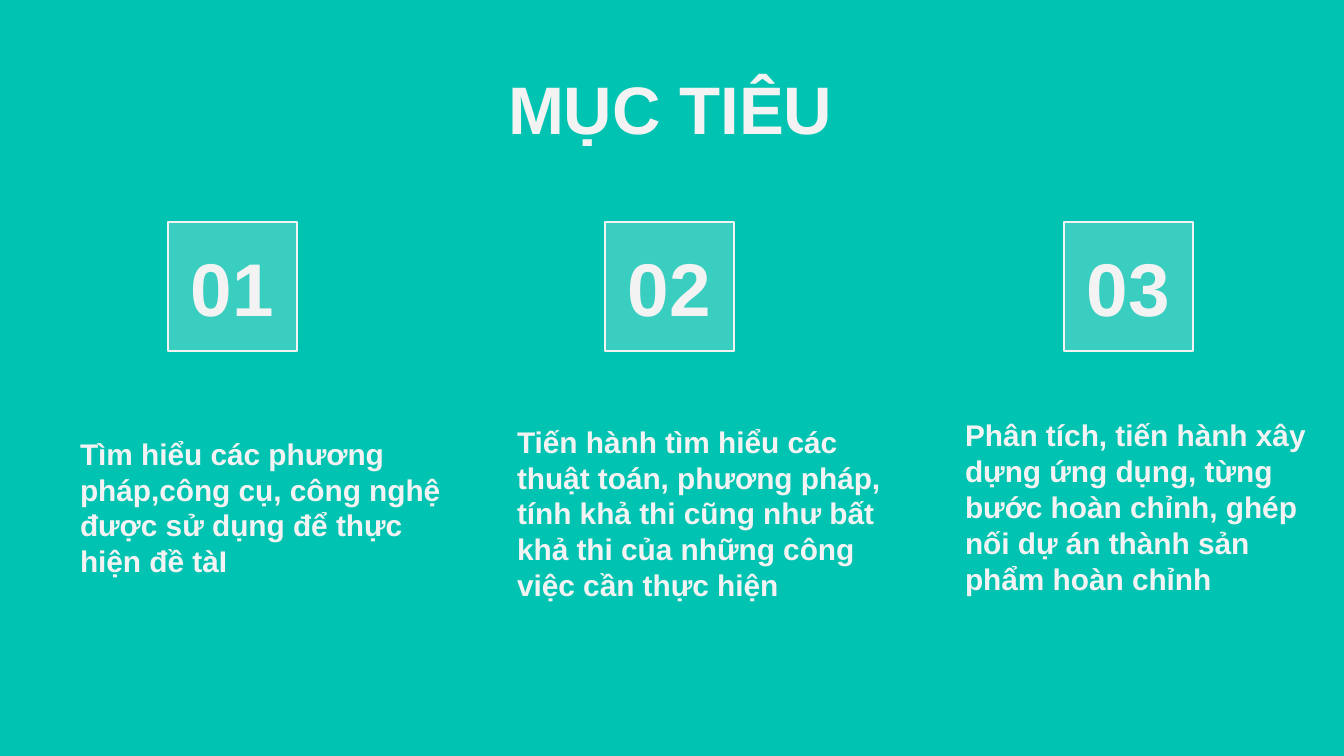
"""Build the slide of three numbered project goals."""
from lxml.etree import SubElement
from pptx import Presentation
from pptx.dml.color import RGBColor as Rgb
from pptx.enum.shapes import MSO_SHAPE as Kind
from pptx.enum.text import MSO_ANCHOR as Anchor, PP_ALIGN as Align
from pptx.oxml.ns import qn
from pptx.util import Emu, Pt

HUE = {"back": "00C3B1", "pale": "F3F3F3"}
TITLE = ("MỤC TIÊU", (104, 54, 1133, 85))
GOALS = [
    ("01", 168, "Tìm hiểu các phương pháp,công cụ, công nghệ được sử dụng "
     "để thực hiện đề tàI", (67, 401, 393, 212)),
    ("02", 605, "Tiến hành tìm hiểu các thuật toán, phương pháp, tính khả thi "
     "cũng như bất khả thi của những công việc cần thực hiện", (504, 403, 393, 220)),
    ("03", 1064, "Phân tích, tiến hành xây dựng ứng dụng, từng bước hoàn chỉnh, "
     "ghép nối dự án thành sản phẩm hoàn chỉnh", (952, 411, 370, 191)),
]
TOP, SIDE, PAD = 222, 129, 13
SCALE = 914400 / 134.4


def px(*nums):
    return [Emu(round(n * SCALE)) for n in nums]


def color(name):
    return Rgb.from_string(HUE[name])


def write(shape, text, size, align=Align.LEFT, anchor=Anchor.MIDDLE, after=0):
    frame = shape.text_frame
    frame.word_wrap = True
    frame.vertical_anchor = anchor
    pad, = px(PAD)
    frame.margin_left = frame.margin_right = pad
    frame.margin_top = frame.margin_bottom = pad
    para = frame.paragraphs[0]
    para.alignment = align
    para.space_after = Pt(after)
    run = para.add_run()
    run.text = text
    font = run.font
    font.name, font.size, font.bold = "Arial", Pt(size), True
    font.color.rgb = color("pale")


def badge(slide, left):
    box = slide.shapes.add_shape(Kind.ROUNDED_RECTANGLE, *px(left, TOP, SIDE, SIDE))
    box.adjustments[0] = 0
    box.shadow.inherit = False
    box.fill.solid()
    box.fill.fore_color.rgb = color("pale")
    tint = box.fill._xPr.find(qn("a:solidFill"))[0]
    SubElement(tint, qn("a:alpha"), val="24000")
    box.line.color.rgb = color("pale")
    box.line.width = Pt(1.5)
    return box


def main():
    deck = Presentation()
    deck.slide_width, deck.slide_height = px(1344, 756)
    slide = deck.slides.add_slide(deck.slide_layouts[6])
    slide.background.fill.solid()
    slide.background.fill.fore_color.rgb = color("back")
    text, place = TITLE
    write(slide.shapes.add_textbox(*px(*place)), text, 36,
          align=Align.CENTER, anchor=Anchor.TOP)
    for num, left, text, place in GOALS:
        write(badge(slide, left), num, 40, align=Align.CENTER)
        write(slide.shapes.add_textbox(*px(*place)), text, 16, after=16)
    deck.save("out.pptx")


if __name__ == "__main__":
    main()
